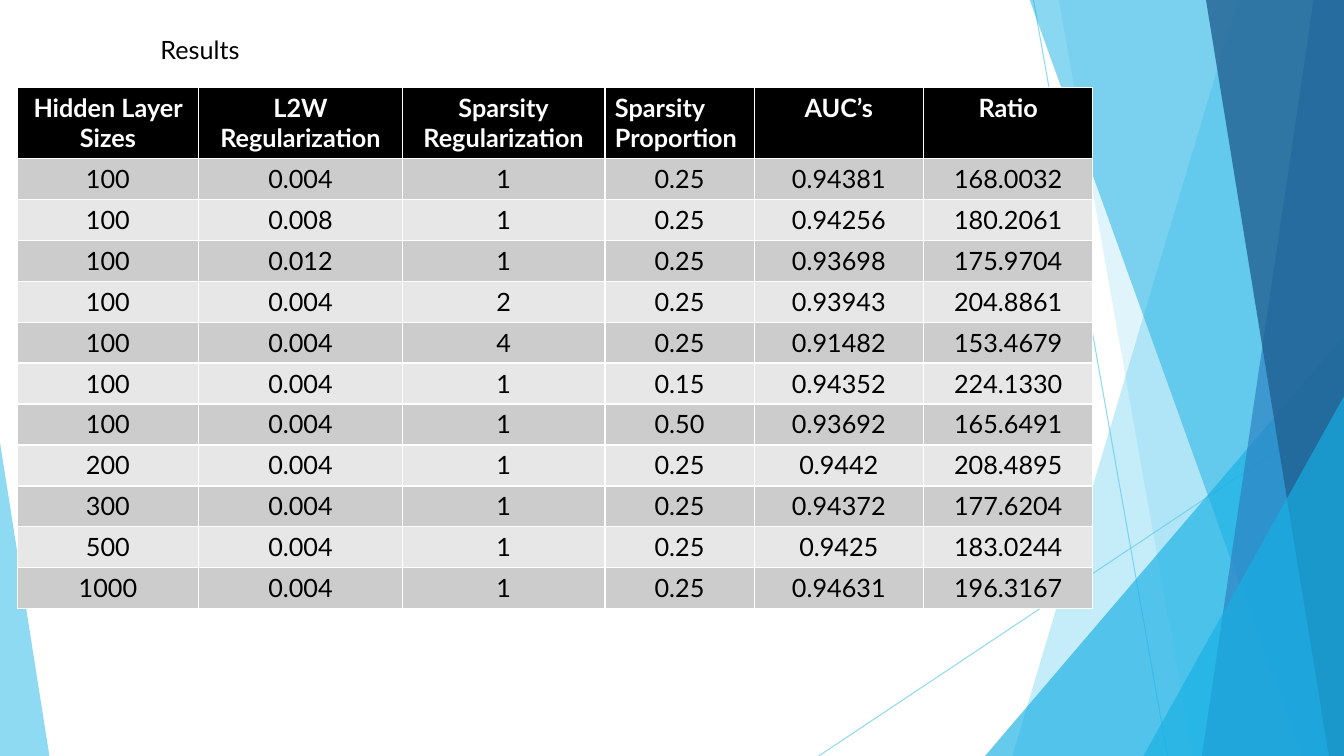
from dataclasses import dataclass
from lxml import etree
from pptx import Presentation
from pptx import util as u
from pptx.dml.color import RGBColor
from pptx.enum import shapes, text
from pptx.oxml.ns import qn


@dataclass(frozen=True)
class Theme:
    font: str = "Lato"
    size: int = 18
    black: str = "000000"
    white: str = "FFFFFF"
    sky: str = "5FCBEF"
    cyan: str = "17B0E4"
    blue: str = "2E83C3"
    navy: str = "226292"
    bands: tuple = ("CCCCCC", "E7E7E7")


theme = Theme()
Inches = u.Inches


def tint(shape, fill, color, opacity):
    """Give a fill a colour and an opacity in percent."""
    fill.solid()
    fill.fore_color.rgb = RGBColor.from_string(color)
    for clr in shape._element.spPr.iter(qn("a:srgbClr")):
        etree.SubElement(clr, qn("a:alpha"), val=str(opacity * 1000))


def write(paragraph, words, color, bold, align):
    """Write one paragraph in the theme's type."""
    paragraph.text = words
    paragraph.alignment = align
    paragraph.font.color.rgb = RGBColor.from_string(color)
    look = {"name": theme.font, "size": u.Pt(theme.size), "bold": bold}
    for key, value in look.items():
        setattr(paragraph.font, key, value)


deck = Presentation()
deck.slide_width, deck.slide_height = Inches(13.33), Inches(7.5)
slide = deck.slides.add_slide(deck.slide_layouts[5])
right, top, bottom = 13.33, -0.01, 7.5

# Thin rays behind the facets
for x1, y1, x2, y2 in [(10.25, 0, 11.58, bottom), (right, 4.03, 8.12, bottom)]:
    ray = slide.shapes.add_connector(
        shapes.MSO_CONNECTOR.STRAIGHT, Inches(x1), Inches(y1), Inches(x2), Inches(y2))
    ray.line.width = u.Pt(0.75)
    tint(ray, ray.line.fill, theme.sky, 70)
    etree.SubElement(ray._element.spPr, qn("a:effectLst"))

# Facets, back to front: a band is (top x, bottom x), running to the right edge;
# a triangle is (left, top, width, apex position)
facets = [
    ("band", (12.28, 10.04), theme.sky, 36),
    ("band", (10.5, 11.83), theme.sky, 20),
    ("triangle", (9.77, 3.33, 3.56, 1), theme.cyan, 66),
    ("band", (10.21, 12.91), theme.cyan, 50),
    ("band", (13.03, 11.92), theme.blue, 70),
    ("band", (11.96, 13.18), theme.navy, 80),
    ("triangle", (11.34, 3.93, 1.99, 1), theme.cyan, 66),
    ("triangle", (0, 4.39, 0.49, 0), theme.sky, 70),
]
for kind, place, color, opacity in facets:
    if kind == "band":
        top_x, bottom_x = place
        outline = slide.shapes.build_freeform(Inches(top_x), Inches(top))
        corners = [(right, top), (right, bottom), (bottom_x, bottom)]
        outline.add_line_segments([(Inches(x), Inches(y)) for x, y in corners], close=True)
        facet = outline.convert_to_shape()
    else:
        left, peak, width, apex = place
        facet = slide.shapes.add_shape(
            shapes.MSO_SHAPE.ISOSCELES_TRIANGLE,
            Inches(left), Inches(peak), Inches(width), Inches(bottom - peak))
        facet.adjustments[0] = apex
    tint(facet, facet.fill, color, opacity)
    facet.line.fill.background()
    facet.shadow.inherit = False

# Title
title = slide.shapes.title
box = {"left": 1.49, "top": 0.29, "width": 1.34, "height": 0.4}
for side, length in box.items():
    setattr(title, side, Inches(length))
frame = {"word_wrap": True, "vertical_anchor": text.MSO_ANCHOR.TOP,
         "auto_size": text.MSO_AUTO_SIZE.SHAPE_TO_FIT_TEXT}
for key, value in frame.items():
    setattr(title.text_frame, key, value)
write(title.text_frame.paragraphs[0], "Results", theme.black, False, text.PP_ALIGN.LEFT)

# Results table
headings = ["Hidden Layer Sizes", "L2W Regularization", "Sparsity\nRegularization",
            "Sparsity\nProportion", "AUC’s", "Ratio"]
results = [
    ("100", "0.004", "1", "0.25", "0.94381", "168.0032"),
    ("100", "0.008", "1", "0.25", "0.94256", "180.2061"),
    ("100", "0.012", "1", "0.25", "0.93698", "175.9704"),
    ("100", "0.004", "2", "0.25", "0.93943", "204.8861"),
    ("100", "0.004", "4", "0.25", "0.91482", "153.4679"),
    ("100", "0.004", "1", "0.15", "0.94352", "224.1330"),
    ("100", "0.004", "1", "0.50", "0.93692", "165.6491"),
    ("200", "0.004", "1", "0.25", "0.9442", "208.4895"),
    ("300", "0.004", "1", "0.25", "0.94372", "177.6204"),
    ("500", "0.004", "1", "0.25", "0.9425", "183.0244"),
    ("1000", "0.004", "1", "0.25", "0.94631", "196.3167"),
]
column_widths = [1.8, 2.02, 2.01, 1.48, 1.68, 1.68]
table_height, heading_height = 5.16, 0.69
row_height = (table_height - heading_height) / len(results)
grid = slide.shapes.add_table(
    len(results) + 1, len(headings), Inches(0.17), Inches(0.87),
    Inches(sum(column_widths)), Inches(table_height)).table
for column, width in zip(grid.columns, column_widths):
    column.width = Inches(width)

for r, values in enumerate([headings, *results]):
    is_heading = r == 0
    grid.rows[r].height = Inches(heading_height if is_heading else row_height)
    background = theme.black if is_heading else theme.bands[(r - 1) % 2]
    ink = theme.white if is_heading else theme.black
    for c, value in enumerate(values):
        cell = grid.cell(r, c)
        cell.fill.solid()
        cell.fill.fore_color.rgb = RGBColor.from_string(background)
        is_left = is_heading and value == "Sparsity\nProportion"
        align = text.PP_ALIGN.LEFT if is_left else text.PP_ALIGN.CENTER
        for i, words in enumerate(value.split("\n")):
            body = cell.text_frame
            paragraph = body.add_paragraph() if i else body.paragraphs[0]
            write(paragraph, words, ink, is_heading, align)

deck.save("out.pptx")
